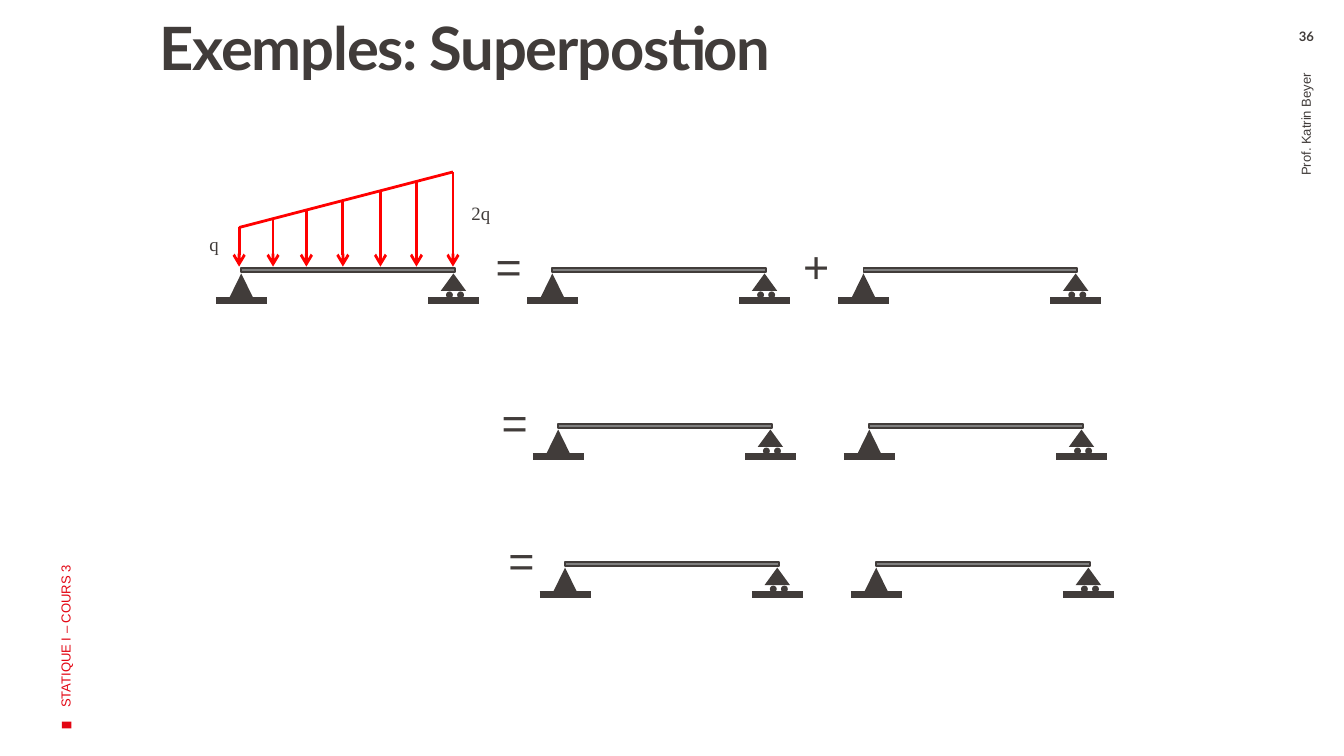
from dataclasses import dataclass

from lxml import etree
from pptx import Presentation
from pptx import util as u
from pptx.dml.color import RGBColor
from pptx.enum import shapes, text
from pptx.oxml.ns import qn


@dataclass(frozen=True)
class Theme:
    dark: RGBColor = RGBColor(0x41, 0x3C, 0x3A)
    grey: RGBColor = RGBColor(0x80, 0x80, 0x80)
    accent: RGBColor = RGBColor(0xE3, 0x06, 0x13)
    load: RGBColor = RGBColor(0xFF, 0x00, 0x00)
    heading_font: str = "Lato"
    body_font: str = "Arial"
    label_font: str = "Times New Roman"
    title_size: float = 32
    operator_size: float = 24
    label_size: float = 10.1
    small_size: float = 7


class BeamSlide:
    def __init__(self, slide, theme):
        self.slide = slide
        self.theme = theme
        self.container = slide.shapes

    def start_group(self):
        self.container = self.slide.shapes.add_group_shape().shapes

    def end_group(self):
        self.container = self.slide.shapes

    def format_text(self, shape, content, font, size, color, bold=False,
                    align=text.PP_ALIGN.LEFT):
        shape.text_frame.text = content
        paragraph = shape.text_frame.paragraphs[0]
        paragraph.alignment = align
        run = paragraph.runs[0]
        run.font.name = font
        run.font.size = u.Pt(size)
        run.font.bold = bold
        run.font.color.rgb = color
        return paragraph

    def title(self, content):
        shape = self.slide.shapes.title
        shape.left, shape.top, shape.width, shape.height = map(
            u.Cm, (2.51, 0.36, 19.48, 2.97))
        frame = shape.text_frame
        frame.auto_size = text.MSO_AUTO_SIZE.NONE
        frame.vertical_anchor = text.MSO_ANCHOR.TOP
        frame.margin_left, frame.margin_top = u.Cm(0.51), 0
        frame.margin_right, frame.margin_bottom = u.Cm(0.2), u.Cm(0.13)
        paragraph = self.format_text(shape, content, self.theme.heading_font,
                                     self.theme.title_size, self.theme.dark, True)
        paragraph.line_spacing = 0.9
        paragraph.runs[0].font._element.set("spc", "-70")

    def margin_text(self, content, box, color, align, rotation=270, bold=False,
                    font=None, inset=0.25):
        shape = self.container.add_textbox(*map(u.Cm, box))
        shape.rotation = rotation
        frame = shape.text_frame
        frame.word_wrap = True
        frame.margin_top = frame.margin_bottom = 0
        frame.margin_right = u.Cm(inset)
        frame.vertical_anchor = text.MSO_ANCHOR.MIDDLE
        self.format_text(shape, content, font or self.theme.body_font,
                         self.theme.small_size, color, bold, align)

    def label(self, content, box, font, size):
        shape = self.container.add_textbox(*map(u.Cm, box))
        shape.text_frame.word_wrap = False
        shape.text_frame.auto_size = text.MSO_AUTO_SIZE.SHAPE_TO_FIT_TEXT
        self.format_text(shape, content, font, size, self.theme.dark)

    def operator(self, content, x, y):
        self.label(content, (x, y, 1.02, 1.27), self.theme.body_font,
                   self.theme.operator_size)

    def solid(self, kind, box, fill, outline=None):
        shape = self.container.add_shape(kind, *map(u.Cm, box))
        shape.shadow.inherit = False
        shape.fill.solid()
        shape.fill.fore_color.rgb = fill
        if outline is None:
            shape.line.fill.background()
        else:
            shape.line.color.rgb = outline
            shape.line.width = u.Pt(1)

    def line(self, start, end, color, width, arrow=False):
        connector = self.container.add_connector(
            shapes.MSO_CONNECTOR.STRAIGHT, *map(u.Cm, (*start, *end)))
        connector.line.color.rgb = color
        connector.line.width = u.Pt(width)
        if arrow:
            etree.SubElement(connector.line._get_or_add_ln(),
                             qn("a:tailEnd"), type="arrow")
        etree.SubElement(connector._element.spPr, qn("a:effectLst"))

    def beam(self, x, y):
        dark = self.theme.dark
        kinds = shapes.MSO_SHAPE
        self.start_group()
        for offset, height in ((0, 0.49), (4.01, 0.33)):
            self.solid(kinds.ISOSCELES_TRIANGLE,
                       (x + offset + 0.24, y + 0.11, 0.48, height), dark)
            self.line((x + offset, y + 0.62), (x + offset + 0.96, y + 0.62), dark, 4)
        for offset in (4.35, 4.56):
            self.solid(kinds.OVAL, (x + offset, y + 0.45, 0.13, 0.13), dark)
        self.solid(kinds.RECTANGLE, (x + 0.48, y, 4.04, 0.08), self.theme.grey, dark)
        self.end_group()

    def trapezoidal_load(self, positions, left_top, right_top, bottom):
        red = self.theme.load
        first, last = positions[0], positions[-1]
        slope = (right_top - left_top) / (last - first)
        self.start_group()
        self.line((first, left_top), (last, right_top), red, 1.5)
        for x in positions:
            top = left_top + slope * (x - first)
            self.line((x, top), (x, bottom), red, 1.5, arrow=True)
        for content, box in (("2q", (8.66, 3.68, 0.89, 0.69)),
                             ("q", (3.71, 4.27, 0.69, 0.69))):
            self.label(content, box, self.theme.label_font, self.theme.label_size)
        self.end_group()


def main():
    presentation = Presentation()
    presentation.slide_width = u.Cm(25.4)
    presentation.slide_height = u.Cm(14.29)
    theme = Theme()
    page = BeamSlide(presentation.slides.add_slide(presentation.slide_layouts[5]), theme)

    page.solid(shapes.MSO_SHAPE.RECTANGLE, (1.17, 13.64, 0.18, 0.13), theme.accent)
    page.title("Exemples: Superpostion")
    page.margin_text("STATIQUE I – COURS 3", (-3.4, 7.72, 9.27, 2.54),
                     theme.accent, text.PP_ALIGN.LEFT)
    page.margin_text("36", (23.98, 0.46, 1.42, 0.46), theme.dark,
                     text.PP_ALIGN.CENTER, 0, True, theme.heading_font)
    page.margin_text("Prof. Katrin Beyer", (19.76, 5.21, 9.83, 1.42),
                     theme.dark, text.PP_ALIGN.RIGHT, inset=0.38)

    page.trapezoidal_load((4.52, 5.16, 5.79, 6.48, 7.19, 7.87, 8.56), 4.3, 3.25, 5.04)
    column_gap = 5.88
    rows = ((9.96, 5.06), (10.07, 8.01), (10.2, 10.62))
    page.beam(rows[0][0] - column_gap, rows[0][1])
    for x, y in rows:
        page.operator("=", x - 0.84, y - 0.68)
        page.beam(x, y)
        page.beam(x + column_gap, y)
    page.operator("+", rows[0][0] + column_gap - 0.91, rows[0][1] - 0.68)

    presentation.save("out.pptx")


if __name__ == "__main__":
    main()
